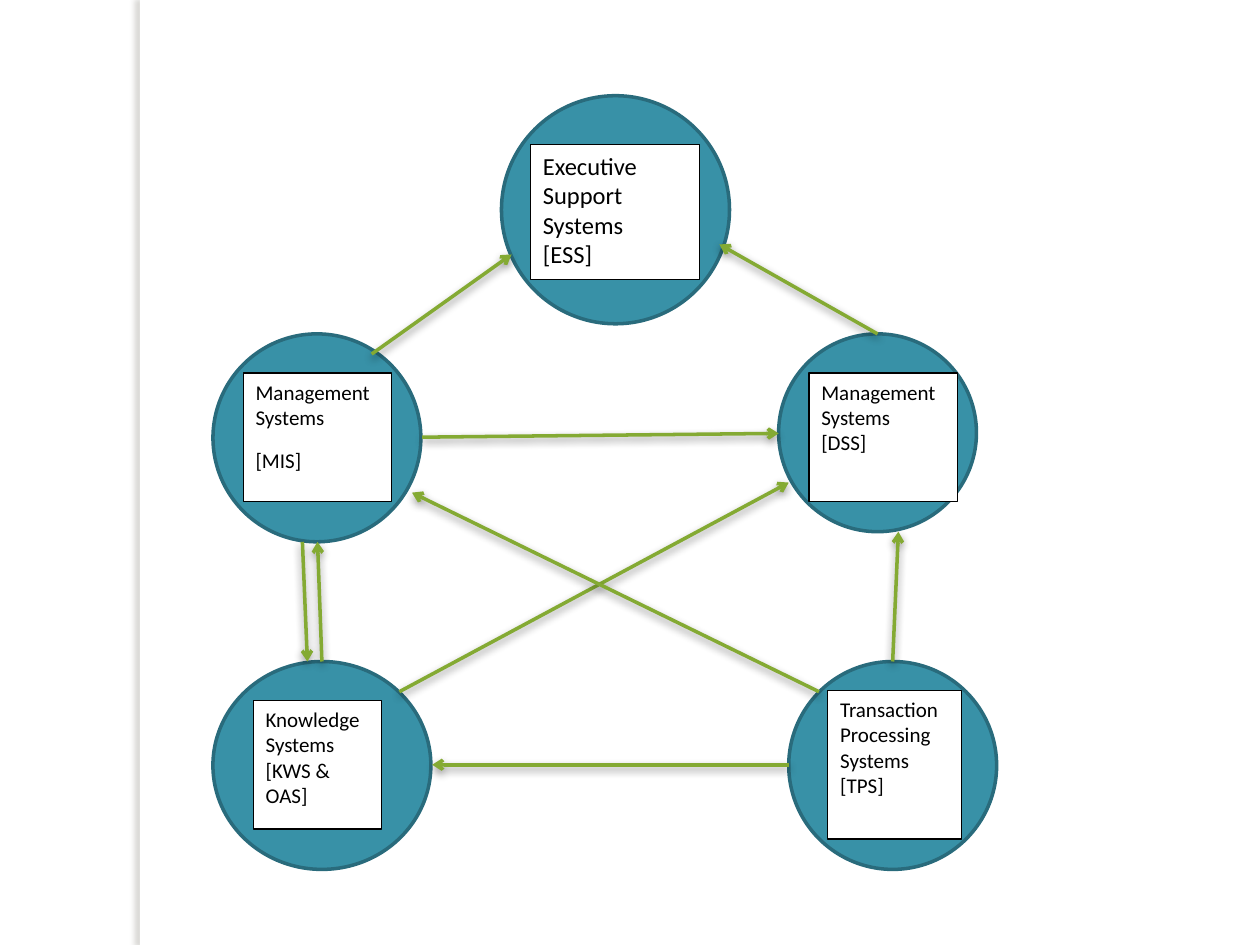
"""Build a slide that shows how five kinds of information system feed one another."""
from dataclasses import dataclass

from lxml import etree
from pptx import Presentation
from pptx.dml.color import RGBColor
from pptx.enum.shapes import MSO_CONNECTOR, MSO_SHAPE
from pptx.enum.text import MSO_ANCHOR, PP_ALIGN
from pptx.oxml.ns import qn
from pptx.util import Inches, Pt

STRAIGHT = MSO_CONNECTOR.STRAIGHT
ELLIPSE = MSO_SHAPE.OVAL
RECTANGLE = MSO_SHAPE.RECTANGLE
TOP = MSO_ANCHOR.TOP
LEFT = PP_ALIGN.LEFT
TOP_SITE = 0

COLORS = {
    "circle": "3891A7",
    "rim": "296B7C",
    "arrow": "84AA33",
    "paper": "FFFFFF",
    "ink": "000000",
    "edge_shadow": "736F63",
}


@dataclass(frozen=True)
class Shadow:
    color: str
    opacity: int
    blur: float
    distance: float
    angle: int


@dataclass(frozen=True)
class System:
    circle: tuple[float, float, float, float]
    label: tuple[float, float, float, float]
    lines: tuple[str, ...]
    size: int = 12
    gaps: tuple[int, ...] = (0, 0, 0)


@dataclass(frozen=True)
class Flow:
    start: tuple[float, float]
    end: tuple[float, float]
    from_top_of: str = ""


EDGE_SHADOW = Shadow("edge_shadow", 25, 3, 3, 180)
ARROW_SHADOW = Shadow("ink", 43, 5, 2, 90)

SYSTEMS = {
    "ESS": System((3.98, 0.76, 1.81, 1.81), (4.21, 1.15, 1.34, 1.07),
                  ("Executive", "Support", "Systems", "[ESS]"), 14, (0, 0, 0, 10)),
    "MIS": System((1.69, 2.65, 1.65, 1.65), (1.93, 2.96, 1.18, 1.02),
                  ("Management Systems", "[MIS]"), gaps=(10, 10)),
    "DSS": System((6.18, 2.65, 1.57, 1.57), (6.42, 2.96, 1.18, 1.02),
                  ("Management", "Systems", "[DSS]")),
    "KWS": System((1.69, 5.25, 1.73, 1.65), (2.01, 5.56, 1.02, 1.02),
                  ("Knowledge", "Systems", "[KWS & OAS]")),
    "TPS": System((6.26, 5.25, 1.65, 1.65), (6.57, 5.48, 1.06, 1.18),
                  ("Transaction Processing", "Systems", "[TPS]")),
}

FLOWS = (
    Flow((2.56, 5.25), (2.52, 4.3), "KWS"),
    Flow((2.4, 4.3), (2.44, 5.25)),
    Flow((2.95, 2.81), (4.06, 2.02)),
    Flow((7.09, 5.25), (7.13, 4.22), "TPS"),
    Flow((6.97, 2.65), (5.71, 1.94), "DSS"),
    Flow((3.17, 5.49), (6.26, 3.83)),
    Flow((6.5, 5.49), (3.27, 3.91)),
    Flow((3.35, 3.47), (6.18, 3.44)),
    Flow((6.26, 6.07), (3.43, 6.07)),
)


def rgb(name: str) -> RGBColor:
    return RGBColor.from_string(COLORS[name])


def set_line(line, color: str, width: float) -> None:
    line.color.rgb = rgb(color)
    line.width = Pt(width)


def add_shadow(properties, shadow: Shadow) -> None:
    effects = etree.SubElement(properties, qn("a:effectLst"))
    outer = etree.SubElement(
        effects, qn("a:outerShdw"), blurRad=str(Pt(shadow.blur)),
        dist=str(Pt(shadow.distance)), dir=str(shadow.angle * 60000),
        algn="ctr", rotWithShape="0")
    color = etree.SubElement(outer, qn("a:srgbClr"), val=COLORS[shadow.color])
    etree.SubElement(color, qn("a:alpha"), val=str(shadow.opacity * 1000))


def add_box(page, kind, place: tuple[float, ...], fill: str):
    box = page.shapes.add_shape(kind, *map(Inches, place))
    box.fill.solid()
    box.fill.fore_color.rgb = rgb(fill)
    return box


def add_edge(page) -> None:
    edge = add_box(page, RECTANGLE, (1.11, 0, 0.08, 7.5), "paper")
    edge.line.fill.background()
    add_shadow(edge._element.spPr, EDGE_SHADOW)


def add_circle(page, system: System):
    circle = add_box(page, ELLIPSE, system.circle, "circle")
    circle.shadow.inherit = False
    set_line(circle.line, "rim", 2)
    return circle


def add_label(page, system: System) -> None:
    box = add_box(page, RECTANGLE, system.label, "paper")
    box.shadow.inherit = False
    set_line(box.line, "ink", 0.75)
    frame = box.text_frame
    frame.word_wrap = True
    frame.vertical_anchor = TOP
    font_format = {"name": "Calibri", "size": Pt(system.size)}
    for index, (words, gap) in enumerate(zip(system.lines, system.gaps)):
        para = frame.add_paragraph() if index else frame.paragraphs[0]
        para_format = {"alignment": LEFT, "space_after": Pt(gap)}
        for name, value in para_format.items():
            setattr(para, name, value)
        span = para.add_run()
        span.text = words
        for name, value in font_format.items():
            setattr(span.font, name, value)
        span.font.color.rgb = rgb("ink")


def add_flow(page, flow: Flow, circles: dict) -> None:
    arrow = page.shapes.add_connector(
        STRAIGHT, *map(Inches, flow.start + flow.end))
    if flow.from_top_of:
        arrow.begin_connect(circles[flow.from_top_of], TOP_SITE)
    set_line(arrow.line, "arrow", 2)
    properties = arrow._element.spPr
    etree.SubElement(properties.find(qn("a:ln")), qn("a:tailEnd"), type="arrow")
    add_shadow(properties, ARROW_SHADOW)


def main() -> None:
    deck = Presentation()
    deck.slide_width, deck.slide_height = Inches(10), Inches(7.5)
    page = deck.slides.add_slide(deck.slide_layouts[6])
    add_edge(page)
    circles = {name: add_circle(page, system) for name, system in SYSTEMS.items()}
    for flow in FLOWS:
        add_flow(page, flow, circles)
    for system in SYSTEMS.values():
        add_label(page, system)
    deck.save("out.pptx")


if __name__ == "__main__":
    main()
